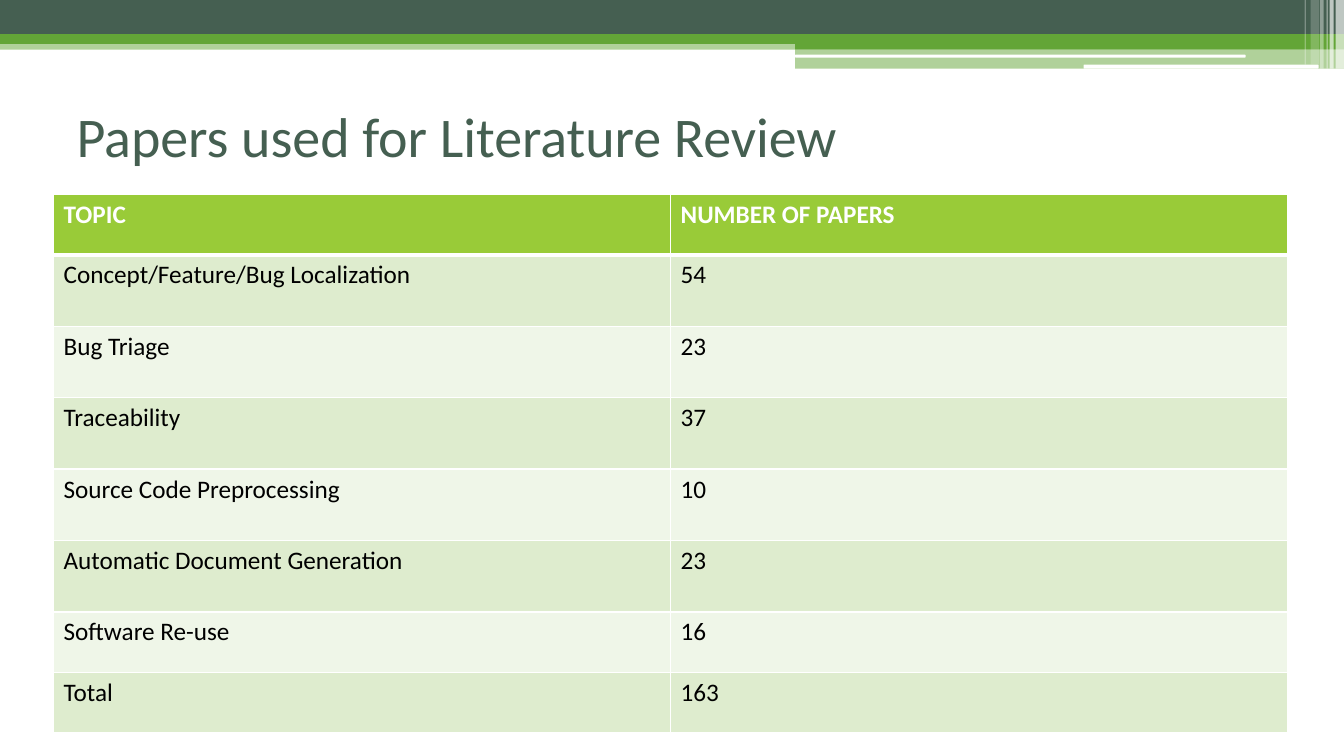
from lxml import etree
from pptx import Presentation
from pptx.dml.color import RGBColor
from pptx.enum import shapes, text
from pptx.oxml.ns import qn
from pptx.util import Cm, Pt

DARK, GREEN, LIME, WHITE, BLACK = "455F51", "63A537", "99CB38", "FFFFFF", "000000"
BANDS = ["DEECCE", "EFF6E8"]
FONT = "Calibri"
WIDE, HIGH = 33.87, 19.05
ROWS = [
    ("TOPIC", "NUMBER OF PAPERS"),
    ("Concept/Feature/Bug Localization", "54"),
    ("Bug Triage", "23"),
    ("Traceability", "37"),
    ("Source Code Preprocessing", "10"),
    ("Automatic Document Generation", "23"),
    ("Software Re-use", "16"),
    ("Total", "163"),
]
TALL = [1.52] + [1.8] * 5 + [1.52] * 2


def paint(fill, color, alpha=100):
    """Make a fill solid, with its opacity in percent."""
    fill.solid()
    fill.fore_color.rgb = RGBColor.from_string(color)
    if alpha < 100:
        tone = fill._xPr.find(qn("a:solidFill"))[0]
        etree.SubElement(tone, qn("a:alpha"), val=str(alpha * 1000))


def style(frame, size, color, bold=False):
    """Format every run of a text frame."""
    for par in frame.paragraphs:
        for run in par.runs:
            run.font.name = FONT
            run.font.size = Pt(size)
            run.font.bold = bold
            run.font.color.rgb = RGBColor.from_string(color)


def bar(slide, box, color, alpha=100, round_end=False):
    """Draw one plain bar without outline."""
    kind = shapes.MSO_SHAPE.ROUNDED_RECTANGLE if round_end else shapes.MSO_SHAPE.RECTANGLE
    part = slide.shapes.add_shape(kind, *map(Cm, box))
    part.shadow.inherit = False
    part.line.fill.background()
    paint(part.fill, color, alpha)


def banner(slide, box):
    """Draw the layered bands and the fine stripes at the right end."""
    left, top, width, height = box
    right, mid = left + width, left + 20.04
    half = right - mid
    bar(slide, (left, top + 1.02, width, 0.23), GREEN, 50)
    bar(slide, (left, top, width, 0.86), DARK)
    bar(slide, (left, top + 0.86, width, 0.25), GREEN)
    bar(slide, (mid, top + 0.99, half, 0.25), GREEN)
    bar(slide, (mid, top + 1.22, half, 0.51), GREEN, 50)
    bar(slide, (mid, top + 1.38, 11.35, 0.07), WHITE, round_end=True)
    bar(slide, (left + 27.31, top + 1.63, 5.92, 0.1), WHITE, round_end=True)
    stripes = [(0.21, 0.21, 65, 0), (0.36, 0.1, 65, 0), (0.44, 0.03, 60, 0),
               (0.61, 0.1, 40, 0), (0.84, 0.21, 20, 0.1), (0.99, 0.03, 30, 0.1)]
    for back, thick, alpha, cut in stripes:
        bar(slide, (right - back, top, thick, height - cut), WHITE, alpha)


def title(slide, box, words):
    """Place the heading, centred in height."""
    frame = slide.shapes.add_textbox(*map(Cm, box)).text_frame
    frame.word_wrap = True
    frame.vertical_anchor = text.MSO_ANCHOR.MIDDLE
    frame.text = words
    style(frame, 40, DARK)


def edge(cell, **widths):
    """Set white cell borders, widths in points by side."""
    props = cell._tc.get_or_add_tcPr()
    for side in "LRTB":
        line = etree.SubElement(props, qn("a:ln" + side), w=str(Pt(widths.get(side, 1))))
        solid = etree.SubElement(line, qn("a:solidFill"))
        etree.SubElement(solid, qn("a:srgbClr"), val=WHITE)


def papers(slide, box):
    """Build the table of topics and paper counts."""
    grid = slide.shapes.add_table(len(ROWS), 2, *map(Cm, box)).table
    for col in grid.columns:
        col.width = Cm(box[2] / 2)
    for i, words in enumerate(ROWS):
        grid.rows[i].height = Cm(TALL[i])
        head = i == 0
        for j, word in enumerate(words):
            cell = grid.cell(i, j)
            cell.text = word
            style(cell.text_frame, 18, WHITE if head else BLACK, head)
            edge(cell, B=3 if head else 1, T=3 if i == 1 else 1)
            paint(cell.fill, LIME if head else BANDS[(i - 1) % 2])


def main():
    """Make the deck and save it."""
    deck = Presentation()
    deck.slide_width, deck.slide_height = Cm(WIDE), Cm(HIGH)
    slide = deck.slides.add_slide(deck.slide_layouts[6])
    banner(slide, (0, 0, WIDE, 1.73))
    papers(slide, (1.35, 4.9, 31.1, sum(TALL)))
    title(slide, (1.68, 1.93, 30.48, 2.97), "Papers used for Literature Review")
    deck.save("out.pptx")


main()
